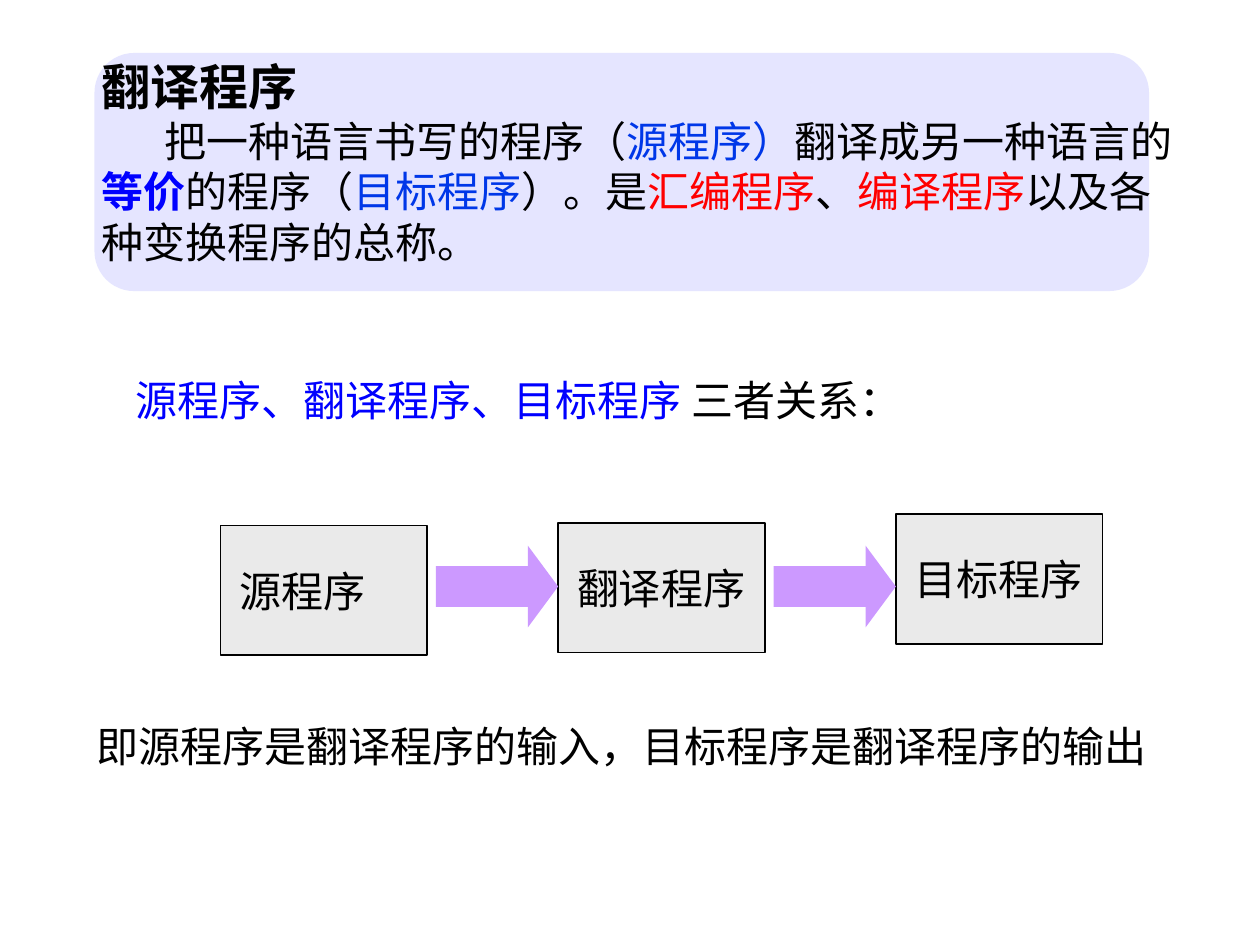
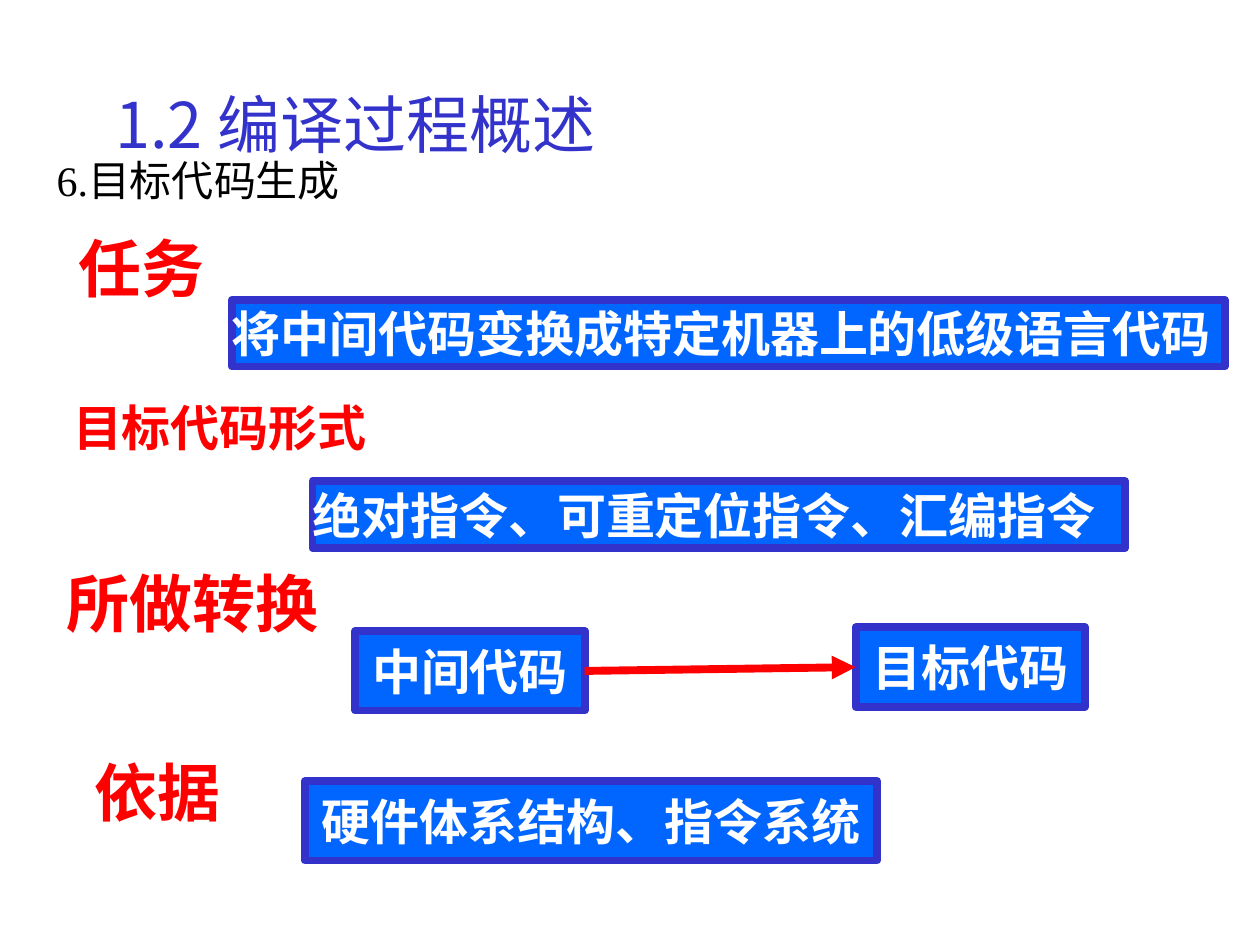
from dataclasses import dataclass

from lxml.etree import SubElement
from pptx import Presentation
from pptx.dml.color import RGBColor
from pptx.enum.shapes import MSO_CONNECTOR, MSO_SHAPE
from pptx.enum.text import MSO_ANCHOR, PP_ALIGN
from pptx.oxml.ns import qn
from pptx.util import Inches, Pt


@dataclass(frozen=True)
class Theme:
    serif: str = "Times New Roman"
    sans: str = "Noto Sans CJK SC"
    black: str = "000000"
    white: str = "FFFFFF"
    red: str = "FF0000"
    blue: str = "0000FF"
    term: str = "0037E8"
    indigo: str = "3333CC"
    bar: str = "0066FF"
    panel: str = "CCCCFF"
    stage: str = "EAEAEA"
    flow: str = "CC99FF"
    body: int = 24
    strong: int = 28
    heading: int = 36
    thin: float = 1
    thick: float = 4.5


THEME = Theme()
MARGINS = (0.1, 0.05, 0.1, 0.05)

# Slide 1: each span is (text, colour, bold)
DEFINITION_HEAD = "翻译程序"
DEFINITION = [
    ("把一种语言书写的程序（", THEME.black, False),
    ("源程序）", THEME.term, False),
    ("翻译成另一种语言的", THEME.black, False),
    ("等价", THEME.blue, True),
    ("的程序（", THEME.black, False),
    ("目标程序", THEME.term, False),
    ("）。是", THEME.black, False),
    ("汇编程序", THEME.red, False),
    ("、", THEME.black, False),
    ("编译程序", THEME.red, False),
    ("以及各种变换程序的总称。", THEME.black, False),
]
RELATION = [
    ("源程序、翻译程序、目标程序", THEME.blue, False),
    (" 三者关系：", THEME.black, False),
]
SUMMARY = "即源程序是翻译程序的输入，目标程序是翻译程序的输出"
STAGES = [("源程序", 4.17), ("翻译程序", 4.15), ("目标程序", 4.08)]  # name, top
STAGE_LEFT, STAGE_PITCH, STAGE_SIZE = 1.75, 2.68, (1.64, 1.03)
ARROW_LEFT, ARROW_TOP, ARROW_SIZE = 3.46, 4.33, (0.97, 0.65)

# Slide 2
TITLE = "1.2 编译过程概述"
SUBTITLE = "6.目标代码生成"
LABELS = [  # text, area, size
    ("任务", (0.52, 1.77, 1.2, 0.7), THEME.heading),
    ("目标代码形式", (0.48, 3.1, 2.53, 0.57), THEME.strong),
    ("所做转换", (0.43, 4.43, 2.2, 0.7), THEME.heading),
    ("依据", (0.65, 5.93, 1.2, 0.7), THEME.heading),
]
FLUSH_BARS = [
    ("将中间代码变换成特定机器上的低级语言代码", (1.84, 2.38, 7.88, 0.53)),
    ("绝对指令、可重定位指令、汇编指令", (2.48, 3.82, 6.45, 0.53)),
]
BASIS = ("硬件体系结构、指令系统", (2.42, 6.2, 4.54, 0.63))
CONVERSION = [
    ("中间代码", (2.82, 5.01, 1.82, 0.63)),
    ("目标代码", (6.79, 4.98, 1.82, 0.63)),
]


def rgb(code):
    return RGBColor.from_string(code)


def inches(area):
    return [Inches(value) for value in area]


def style(span, size, colour, bold=False, face=THEME.serif):
    span.font.size = Pt(size)
    span.font.bold = bold
    span.font.name = face
    span.font.color.rgb = rgb(colour)
    if face == THEME.sans:
        SubElement(span.font._element, qn("a:ea"), typeface=face)


def add_spans(para, spans, size):
    for text, colour, bold in spans:
        span = para.add_run()
        span.text = text
        style(span, size, colour, bold)


def set_frame(shape, anchor=MSO_ANCHOR.TOP, wrap=True, margins=MARGINS):
    frame = shape.text_frame
    frame.word_wrap = wrap
    frame.vertical_anchor = anchor
    (frame.margin_left, frame.margin_top,
     frame.margin_right, frame.margin_bottom) = inches(margins)
    return frame


def write(shape, text, size, colour, bold=False, face=THEME.serif,
          align=PP_ALIGN.LEFT, **frame_options):
    """Put one styled line of text into a shape."""
    frame = set_frame(shape, **frame_options)
    frame.text = text
    para = frame.paragraphs[0]
    para.alignment = align
    style(para.runs[0], size, colour, bold, face)


def add_box(slide, area):
    return slide.shapes.add_textbox(*inches(area))


def add_figure(slide, preset, area, fill, line=None, width=THEME.thin):
    figure = slide.shapes.add_shape(preset, *inches(area))
    figure.shadow.inherit = False
    figure.fill.solid()
    figure.fill.fore_color.rgb = rgb(fill)
    if line:
        figure.line.color.rgb = rgb(line)
        figure.line.width = Pt(width)
    else:
        figure.line.fill.background()
    return figure


def add_bar(slide, text, area, align=PP_ALIGN.CENTER, margins=MARGINS):
    bar = add_figure(slide, MSO_SHAPE.RECTANGLE, area, THEME.bar,
                     THEME.indigo, THEME.thick)
    write(bar, text, THEME.strong, THEME.white, True, THEME.sans, align,
          anchor=MSO_ANCHOR.MIDDLE, margins=margins)
    return bar


def add_arrow(slide, source, target):
    """Join the right side of source to the left side of target."""
    arrow = slide.shapes.add_connector(MSO_CONNECTOR.STRAIGHT, 0, 0, 0, 0)
    arrow.begin_connect(source, 3)
    arrow.end_connect(target, 1)
    arrow.line.color.rgb = rgb(THEME.red)
    arrow.line.width = Pt(THEME.thick)
    SubElement(arrow.line._get_or_add_ln(), qn("a:tailEnd"), type="triangle")
    SubElement(arrow._element.spPr, qn("a:effectLst"))


def add_definition(slide):
    panel = add_figure(slide, MSO_SHAPE.ROUNDED_RECTANGLE,
                       (0.75, 0.42, 8.37, 1.89), THEME.panel)
    colour = panel._element.spPr.find(qn("a:solidFill"))[0]
    SubElement(colour, qn("a:alpha"), val="50000")

    box = add_box(slide, (0.71, 0.4, 8.74, 1.77))
    write(box, DEFINITION_HEAD, THEME.strong, THEME.black, True)
    para = box.text_frame.add_paragraph()
    para._p.get_or_add_pPr().set("indent", str(Inches(0.5)))
    add_spans(para, DEFINITION, THEME.body)


def build_translator(slide):
    add_definition(slide)
    relation = set_frame(add_box(slide, (0.98, 2.92, 6.28, 0.5)))
    add_spans(relation.paragraphs[0], RELATION, THEME.body)

    for column, (name, top) in enumerate(STAGES):
        left = STAGE_LEFT + column * STAGE_PITCH
        stage = add_figure(slide, MSO_SHAPE.RECTANGLE, (left, top, *STAGE_SIZE),
                           THEME.stage, THEME.black)
        write(stage, name, THEME.body, THEME.black,
              anchor=MSO_ANCHOR.MIDDLE, margins=(0.15, 0, 0, 0))
    for column in range(len(STAGES) - 1):
        left = ARROW_LEFT + column * STAGE_PITCH
        arrow = add_figure(slide, MSO_SHAPE.RIGHT_ARROW,
                           (left, ARROW_TOP, *ARROW_SIZE), THEME.flow)
        arrow.adjustments[1] = 0.37

    write(add_box(slide, (0.67, 5.67, 8.85, 0.5)), SUMMARY,
          THEME.body, THEME.black)


def build_code_generation(slide):
    write(add_box(slide, (0.46, 0.63, 4.72, 0.5)), TITLE, THEME.heading,
          THEME.indigo, face=THEME.sans, align=PP_ALIGN.CENTER, wrap=False)
    write(add_box(slide, (0.35, 1.18, 3.29, 0.57)), SUBTITLE,
          THEME.body, THEME.black)
    for text, area, size in LABELS:
        write(add_box(slide, area), text, size, THEME.red, True, THEME.sans,
              PP_ALIGN.CENTER, anchor=MSO_ANCHOR.MIDDLE, wrap=False)
    for text, area in FLUSH_BARS:
        add_bar(slide, text, area, PP_ALIGN.LEFT, (0, 0, 0, 0))
    add_bar(slide, *BASIS)
    source, target = [add_bar(slide, *part) for part in CONVERSION]
    add_arrow(slide, source, target)


def main():
    deck = Presentation()
    deck.slide_width, deck.slide_height = Inches(10), Inches(7.5)
    for build in (build_translator, build_code_generation):
        build(deck.slides.add_slide(deck.slide_layouts[6]))
    deck.save("out.pptx")


if __name__ == "__main__":
    main()
